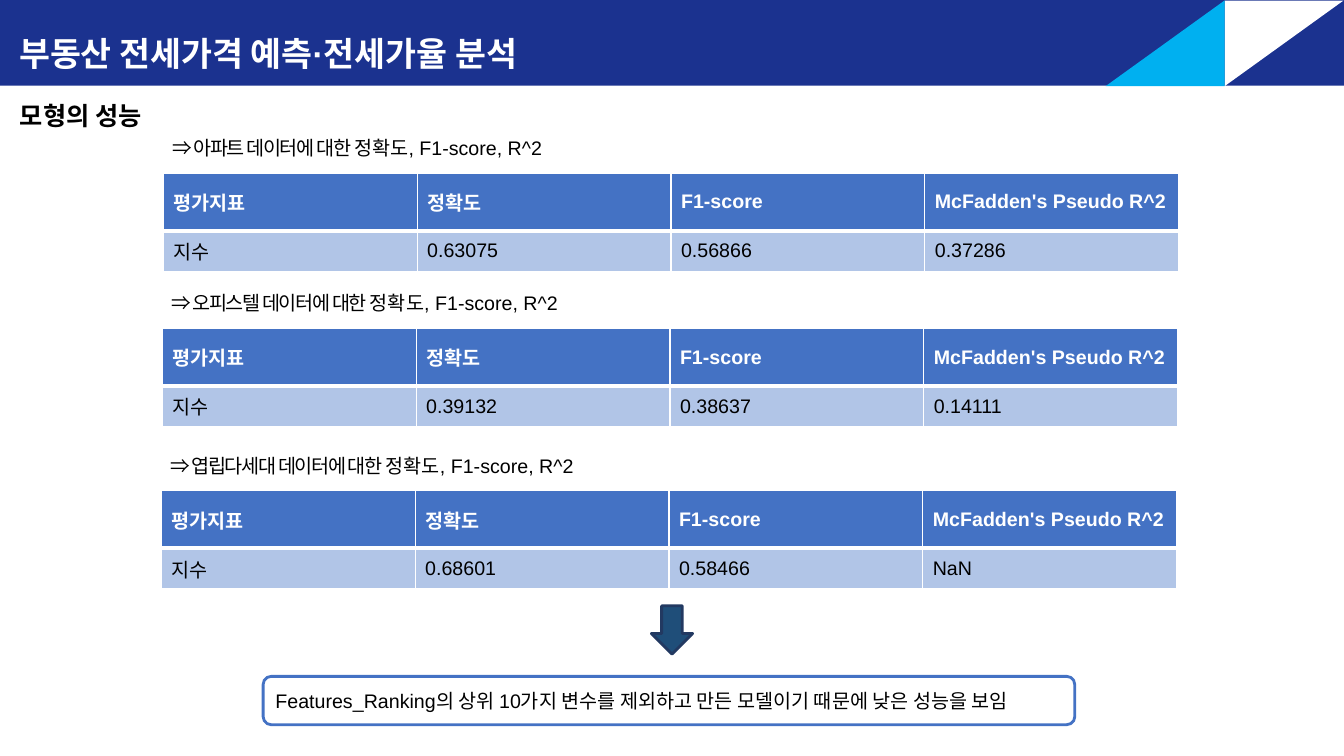
"""Build the slide on model performance for three housing data sets."""
from lxml import etree
from pptx import Presentation
from pptx.dml.color import RGBColor
from pptx.enum.shapes import MSO_SHAPE as Shape
from pptx.enum.text import MSO_ANCHOR as Anchor, PP_ALIGN as Align
from pptx.oxml.ns import qn
from pptx.util import Inches, Pt

TITLE = "부동산 전세가격 예측·전세가율 분석"
SUBTITLE = "모형의 성능"
METRICS = "정확도, F1-score, R^2"
HEADER = ["평가지표", "정확도", "F1-score", "McFadden's Pseudo R^2"]
RESULTS = [
    ("아파트", 1.62, 1.72, ["0.63075", "0.56866", "0.37286"]),
    ("오피스텔", 1.61, 3.26, ["0.39132", "0.38637", "0.14111"]),
    ("엽립다세대", 1.6, 4.87, ["0.68601", "0.58466", "NaN"]),
]
CONCLUSION = "Features_Ranking의 상위 10가지 변수를 제외하고 만든 모델이기 때문에 낮은 성능을 보임"
COLORS = {
    "navy": "1B328F", "cyan": "00B0F0", "white": "FFFFFF", "black": "000000",
    "blue": "4472C4", "pale": "B1C5E7", "arrow": "1F4E79", "arrow_line": "223961",
}
TABLE_WIDTH, ROW_HEIGHTS = 10.07, (0.57, 0.4)


def color(name):
    return RGBColor.from_string(COLORS[name])


def set_font(paragraph, size, name, bold=False, family="Arial"):
    font = paragraph.font
    font.size, font.bold, font.name = Pt(size), bold, family
    font.color.rgb = color(name)


def add_shape(slide, kind, box, fill, line=None, rotation=0):
    shape = slide.shapes.add_shape(kind, *map(Inches, box))
    shape.shadow.inherit = False
    shape.rotation = rotation
    shape.fill.solid()
    shape.fill.fore_color.rgb = color(fill)
    if line:
        shape.line.color.rgb = color(line)
        shape.line.width = Pt(2)
    else:
        shape.line.fill.background()
    return shape


def add_text(slide, box):
    frame = slide.shapes.add_textbox(*map(Inches, box)).text_frame
    frame.word_wrap = True
    return frame.paragraphs[0]


def write_shape_text(shape, text, size, name, bold=False):
    frame = shape.text_frame
    frame.word_wrap = True
    frame.vertical_anchor = Anchor.MIDDLE
    paragraph = frame.paragraphs[0]
    paragraph.text = text
    paragraph.alignment = Align.LEFT
    set_font(paragraph, size, name, bold)
    return paragraph


def set_borders(cell, widths):
    properties = cell._tc.get_or_add_tcPr()
    for index, (side, width) in enumerate(widths.items()):
        line = etree.Element(qn(f"a:ln{side}"), w=str(Pt(width)))
        fill = etree.SubElement(line, qn("a:solidFill"))
        etree.SubElement(fill, qn("a:srgbClr"), val=COLORS["white"])
        properties.insert(index, line)


def add_result(slide, name, left, top, values):
    paragraph = add_text(slide, (left - 0.01, top - 0.42, 4.65, 0.34))
    lead = paragraph.add_run()
    lead.text = f"⇒ {name} 데이터에 대한 "
    lead.font._element.set("spc", "-100")
    paragraph.add_run().text = METRICS
    set_font(paragraph, 14, "black")

    rows = [HEADER, ["지수", *values]]
    box = (left, top, TABLE_WIDTH, sum(ROW_HEIGHTS))
    table = slide.shapes.add_table(len(rows), len(HEADER), *map(Inches, box)).table
    for column in table.columns:
        column.width = Inches(TABLE_WIDTH / len(HEADER))
    for row, (texts, height) in enumerate(zip(rows, ROW_HEIGHTS)):
        table.rows[row].height = Inches(height)
        is_header = row == 0
        widths = {"L": 1, "R": 1, "T": 1 if is_header else 3, "B": 3 if is_header else 1}
        for column, text in enumerate(texts):
            cell = table.cell(row, column)
            cell.text = text
            cell.vertical_anchor = Anchor.MIDDLE
            cell.fill.solid()
            cell.fill.fore_color.rgb = color("blue" if is_header else "pale")
            set_borders(cell, widths)
            set_font(cell.text_frame.paragraphs[0], 14,
                     "white" if is_header else "black", is_header)


def main():
    presentation = Presentation()
    presentation.slide_width, presentation.slide_height = Inches(13.33), Inches(7.5)
    slide = presentation.slides.add_slide(presentation.slide_layouts[6])

    banner = add_shape(slide, Shape.RECTANGLE, (0, 0, 13.33, 0.85), "navy")
    banner.text_frame.margin_left = Inches(0.19)
    write_shape_text(banner, TITLE, 24, "white", True).line_spacing = 1.5
    for left, rotation, fill in [(12.31, 90, "white"), (11.13, 270, "cyan")]:
        add_shape(slide, Shape.RIGHT_TRIANGLE, (left, -0.16, 0.85, 1.18), fill,
                  rotation=rotation)

    subtitle = add_text(slide, (0.1, 0.95, 4.04, 0.4))
    subtitle.text = SUBTITLE
    set_font(subtitle, 18, "black", True, "Noto Sans CJK KR")

    for result in RESULTS:
        add_result(slide, *result)

    add_shape(slide, Shape.DOWN_ARROW, (6.46, 6.01, 0.41, 0.48), "arrow", "arrow_line")
    conclusion = add_shape(slide, Shape.ROUNDED_RECTANGLE, (2.61, 6.71, 8.05, 0.48),
                           "white", "blue")
    write_shape_text(conclusion, CONCLUSION, 14, "black")
    presentation.save("out.pptx")


if __name__ == "__main__":
    main()
